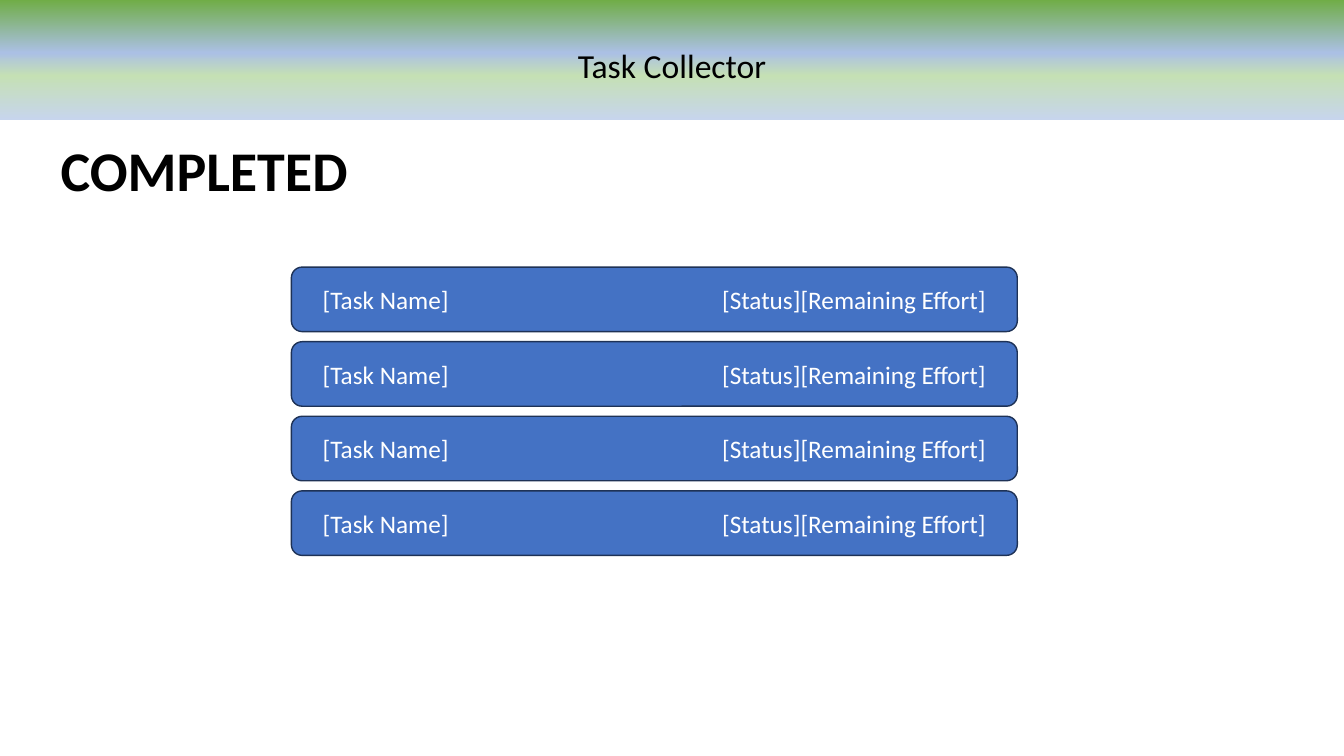
from dataclasses import dataclass

from lxml.etree import SubElement
from pptx import Presentation
from pptx.dml.color import RGBColor
from pptx.enum.shapes import MSO_SHAPE
from pptx.enum.text import MSO_ANCHOR, MSO_AUTO_SIZE, PP_ALIGN
from pptx.oxml.ns import qn
from pptx.shapes.autoshape import Shape
from pptx.slide import Slide
from pptx.text.text import _Paragraph
from pptx.util import Inches, Pt


@dataclass
class Task:
    name: str
    status: str
    effort: str


TASKS = [Task("[Task Name]", "[Status]", "[Remaining Effort]") for _ in range(4)]
BANNER_STOPS = [(0, "70AD47"), (44, "ABC0E4"), (63, "C5E0B4"), (100, "C7D5ED")]
ROW_TOP, ROW_STEP = 2.65, 0.74
ROW_INSET, EFFORT_TAB = 0.28, 6.62


def rgb(color: str) -> RGBColor:
    return RGBColor.from_string(color)


def place(sp: Shape, left: float, top: float, width: float, height: float) -> None:
    box = {"left": left, "top": top, "width": width, "height": height}
    for name, value in box.items():
        setattr(sp, name, Inches(value))


def write(sp: Shape, text: str, color: str, size: int, align: PP_ALIGN,
          anchor: MSO_ANCHOR, bold: bool = False) -> _Paragraph:
    tf = sp.text_frame
    frame_format = {"word_wrap": True, "auto_size": MSO_AUTO_SIZE.NONE,
                    "vertical_anchor": anchor}
    for name, value in frame_format.items():
        setattr(tf, name, value)
    p = tf.paragraphs[0]
    p.alignment = align
    r = p.add_run()
    r.text = text
    font_format = {"name": "Calibri", "size": Pt(size), "bold": bold}
    for name, value in font_format.items():
        setattr(r.font, name, value)
    r.font.color.rgb = rgb(color)
    return p


def fill_gradient(sp: Shape, stops: list[tuple[int, str]]) -> None:
    """Fill with colour stops running from top to bottom."""
    sp.fill.gradient()
    sp.fill.gradient_angle = 270
    stop_list = sp._element.spPr.find(".//" + qn("a:gsLst"))
    stop_list.clear()
    for percent, color in stops:
        stop = SubElement(stop_list, qn("a:gs"), pos=str(percent * 1000))
        SubElement(stop, qn("a:srgbClr"), val=color)


def add_banner(s: Slide, text: str) -> None:
    sp = s.placeholders[1]
    place(sp, 0, 0, 13.33, 1.19)
    fill_gradient(sp, BANNER_STOPS)
    p = write(sp, text, "000000", 24, PP_ALIGN.CENTER, MSO_ANCHOR.TOP)
    p.line_spacing = 2.0
    p.space_before = Pt(10)


def add_heading(s: Slide, text: str) -> None:
    sp = s.shapes.title
    place(sp, -0.07, 1.36, 4.19, 0.64)
    write(sp, text, "000000", 40, PP_ALIGN.CENTER, MSO_ANCHOR.MIDDLE, bold=True)


def add_task_row(s: Slide, task: Task, top: float) -> None:
    sp = s.shapes.add_shape(MSO_SHAPE.ROUNDED_RECTANGLE, 0, 0, 0, 0)
    place(sp, 2.89, top, 7.2, 0.64)
    sp.shadow.inherit = False
    sp.fill.solid()
    sp.fill.fore_color.rgb = rgb("4472C4")
    sp.line.color.rgb = rgb("1E3256")
    sp.line.width = Pt(1)
    p = write(sp, f"{task.name}\t{task.status}{task.effort}", "FFFFFF", 18,
              PP_ALIGN.LEFT, MSO_ANCHOR.MIDDLE)
    sp.text_frame.margin_left = sp.text_frame.margin_right = Inches(ROW_INSET)
    tabs = SubElement(p._p.get_or_add_pPr(), qn("a:tabLst"))
    SubElement(tabs, qn("a:tab"), pos=str(Inches(EFFORT_TAB)), algn="r")


def main() -> None:
    prs = Presentation()
    prs.slide_width, prs.slide_height = Inches(13.33), Inches(7.5)
    s = prs.slides.add_slide(prs.slide_layouts[0])
    add_banner(s, "Task Collector")
    add_heading(s, "COMPLETED")
    for i, task in enumerate(TASKS):
        add_task_row(s, task, ROW_TOP + i * ROW_STEP)
    prs.save("out.pptx")


if __name__ == "__main__":
    main()
